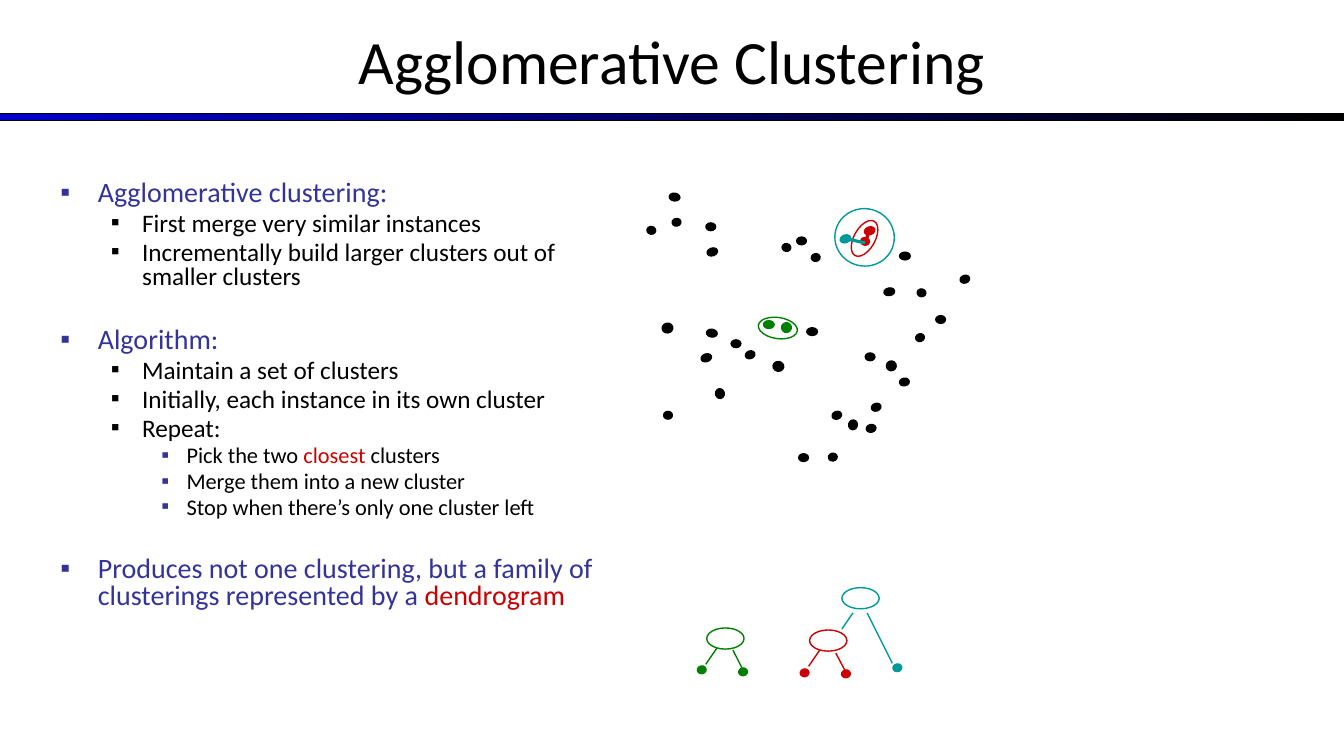
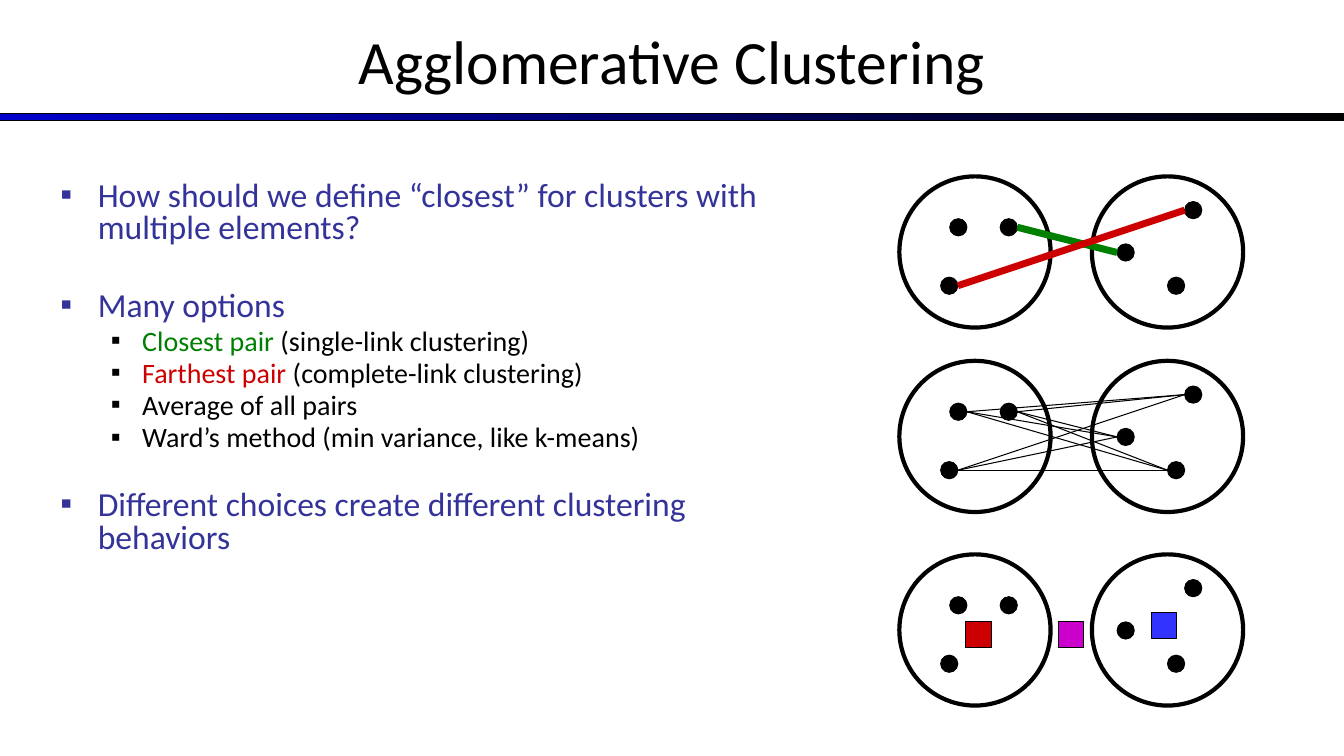
from dataclasses import dataclass
from itertools import product

from lxml.etree import SubElement
from pptx import Presentation
from pptx.dml.color import RGBColor
from pptx.enum.shapes import MSO_CONNECTOR as Connector, MSO_SHAPE as Preset
from pptx.enum.text import MSO_ANCHOR as Anchor, MSO_AUTO_SIZE as AutoSize, PP_ALIGN as Align
from pptx.oxml.ns import qn
from pptx.util import Emu, Pt


@dataclass(frozen=True)
class Theme:
    font: str = "Calibri"
    title_size: int = 44
    black: str = "000000"
    indigo: str = "333399"
    red: str = "CC0000"
    green: str = "008000"
    teal: str = "009999"
    blue: str = "3333FF"
    magenta: str = "CC00CC"
    band_start: str = "0000CC"
    line_spacing: float = 0.8
    space_before: float = 0.19
    hairline: float = 0.75
    outline: float = 1
    merge_link: float = 2.25
    circle_outline: float = 3
    pair_link: float = 5


THEME = Theme()
PX = 9144
PAGE_SIZE = (1333, 750)
TITLE_BOX = (0, -3, 1333, 125)
BAND_BOX = (0, 113, 1333, 7)
TITLE = "Agglomerative Clustering"

LEVELS = [
    {"margin": 37, "hang": 37, "text": THEME.indigo, "bullet": THEME.indigo},
    {"margin": 81, "hang": 31, "text": THEME.black, "bullet": THEME.black},
    {"margin": 125, "hang": 25, "text": THEME.black, "bullet": THEME.indigo},
]

ALGORITHM = {
    "box": (50, 175, 575, 495),
    "sizes": (20, 18, 16),
    "items": [
        (0, 0, ["Agglomerative clustering:"]),
        (1, 0, ["First merge very similar instances"]),
        (1, 0, ["Incrementally build larger clusters out of smaller clusters"]),
        (0, 27, ["Algorithm:"]),
        (1, 0, ["Maintain a set of clusters"]),
        (1, 0, ["Initially, each instance in its own cluster"]),
        (1, 0, ["Repeat:"]),
        (2, 0, ["Pick the two ", ("closest ", THEME.red), "clusters"]),
        (2, 0, ["Merge them into a new cluster"]),
        (2, 0, ["Stop when there’s only one cluster left"]),
        (0, 27, ["Produces not one clustering, but a family of clusterings represented by a ",
                 ("dendrogram", THEME.red)]),
    ],
}

LINKAGE = {
    "box": (50, 175, 775, 517),
    "sizes": (24, 20),
    "items": [
        (0, 0, ["How should we define “closest” for clusters with multiple elements?"]),
        (0, 33, ["Many options"]),
        (1, 0, [("Closest pair", THEME.green), " (single-link clustering)"]),
        (1, 0, [("Farthest pair", THEME.red), " (complete-link clustering)"]),
        (1, 0, ["Average of all pairs"]),
        (1, 0, ["Ward’s method (min variance, like k-means)"]),
        (0, 27, ["Different choices create different clustering behaviors"]),
    ],
}

LEAF_SIZE, LEAF_TILT = (8, 9), 79.6
NODE_SIZE = (37, 21)
TREES = [
    {"color": THEME.green, "leaves": [(733, 662), (692, 660)], "node": (701, 623),
     "edges": [(700, 659, 711, 643), (727, 645, 738, 667)]},
    {"color": THEME.red, "leaves": [(835, 664), (794, 663)], "node": (803, 625),
     "edges": [(802, 661, 813, 645), (829, 648, 838, 665)]},
    {"color": THEME.teal, "leaves": [(886, 658)], "node": (835, 583),
     "edges": [(835, 624, 846, 608), (860, 608, 885, 658)]},
]

INSTANCES = {
    0: [(725, 337, 10, 8), (928, 313, 10, 8), (792, 450, 10, 8), (800, 325, 11, 8),
        (790, 235, 10, 8), (700, 221, 10, 8), (658, 408, 9, 8), (858, 350, 10, 8),
        (892, 250, 11, 8)],
    341.4: [(952, 273, 10, 8), (825, 408, 10, 8), (864, 400, 10, 8), (695, 351, 11, 8),
            (701, 246, 11, 8), (739, 348, 10, 8), (908, 331, 9, 8)],
    98.3: [(642, 224, 8, 9), (767, 358, 10, 11), (702, 325, 8, 11), (776, 241, 8, 9),
           (879, 358, 10, 10), (910, 286, 8, 9), (665, 190, 8, 11), (841, 417, 10, 9)],
    79.6: [(822, 449, 8, 9), (657, 320, 10, 11), (709, 386, 10, 9), (667, 216, 8, 9),
           (893, 374, 8, 10), (878, 284, 8, 11), (805, 251, 8, 9), (860, 420, 8, 10)],
}

MERGES = [
    {"color": THEME.red, "dots": [((857, 225, 11, 8), 341.4), ((854, 235, 8, 9), 98.3)],
     "ring": ((838, 226, 39, 21), 299.1), "link": (858, 240, 861, 233)},
    {"color": THEME.green, "dots": [((757, 318, 11, 8), 0), ((775, 320, 10, 10), 79.6)],
     "ring": ((752, 315, 39, 21), 8.3), "link": (762, 323, 767, 324)},
    {"color": THEME.teal, "dots": [((833, 233, 11, 8), 341.4)],
     "ring": ((828, 207, 59, 57), 8.3), "link": (840, 237, 858, 241)},
]

PANEL_LEFT = 892
CIRCLE_OFFSETS, CIRCLE_SIZE = (0, 191), 150
DOT_SIZE, SQUARE_SIZE = 17, 25
LEFT_DOTS = [(50, 42), (41, 100), (100, 42)]
RIGHT_DOTS = [(216, 67), (266, 100), (283, 25)]
CLOSEST = (LEFT_DOTS[2], RIGHT_DOTS[0])
FARTHEST = (LEFT_DOTS[1], RIGHT_DOTS[2])
PANELS = [
    {"top": 175, "squares": [],
     "links": [(CLOSEST, THEME.green, THEME.pair_link),
               (FARTHEST, THEME.red, THEME.pair_link)]},
    {"top": 358, "squares": [],
     "links": [(pair, THEME.black, THEME.hairline) for pair in product(LEFT_DOTS, RIGHT_DOTS)]},
    {"top": 550, "links": [],
     "squares": [(66, 67, THEME.red), (250, 58, THEME.blue), (158, 67, THEME.magenta)]},
]


def emu(lengths):
    return [Emu(round(length * PX)) for length in lengths]


def rgb(color):
    return RGBColor.from_string(color)


def place(shape, box):
    shape.left, shape.top, shape.width, shape.height = emu(box)


def draw_shape(page, preset, box, line, width=THEME.hairline, fill=None, tilt=0):
    shape = page.shapes.add_shape(preset, *emu(box))
    shape.shadow.inherit = False
    shape.rotation = tilt
    shape.line.color.rgb = rgb(line)
    shape.line.width = Pt(width)
    if fill:
        shape.fill.solid()
        shape.fill.fore_color.rgb = rgb(fill)
    else:
        shape.fill.background()
    return shape


def draw_dot(page, box, color, tilt=0):
    draw_shape(page, Preset.OVAL, box, color, fill=color, tilt=tilt)


def draw_link(page, ends, color, width):
    link = page.shapes.add_connector(Connector.STRAIGHT, *emu(ends))
    link.line.color.rgb = rgb(color)
    link.line.width = Pt(width)
    SubElement(link.element.spPr, qn("a:effectLst"))


def style_span(span, size, color):
    span.font.name = THEME.font
    span.font.size = Pt(size)
    span.font.color.rgb = rgb(color)


def write_item(para, item, sizes):
    level, gap, spans = item
    style, size = LEVELS[level], sizes[level]
    para.level = level
    para.line_spacing = THEME.line_spacing
    para.space_before = Pt(gap or size * THEME.space_before)
    for entry in spans:
        text, color = (entry, style["text"]) if isinstance(entry, str) else entry
        span = para.add_run()
        span.text = text
        style_span(span, size, color)
    props = para._p.get_or_add_pPr()
    props.set("marL", str(style["margin"] * PX))
    props.set("indent", str(-style["hang"] * PX))
    SubElement(SubElement(props, qn("a:buClr")), qn("a:srgbClr")).set("val", style["bullet"])
    SubElement(props, qn("a:buChar")).set("char", "▪")


def add_page(deck, content):
    page = deck.slides.add_slide(deck.slide_layouts[1])
    title, body = page.placeholders
    place(title, TITLE_BOX)
    title.text_frame.text = TITLE
    title.text_frame.vertical_anchor = Anchor.MIDDLE
    title.text_frame.auto_size = AutoSize.NONE
    heading = title.text_frame.paragraphs[0]
    heading.alignment = Align.CENTER
    style_span(heading.runs[0], THEME.title_size, THEME.black)

    place(body, content["box"])
    frame = body.text_frame
    frame.auto_size = AutoSize.NONE
    for index, item in enumerate(content["items"]):
        para = frame.add_paragraph() if index else frame.paragraphs[0]
        write_item(para, item, content["sizes"])
    return page


def move_band_to_layout(page):
    band = draw_shape(page, Preset.RECTANGLE, BAND_BOX, THEME.black)
    band.fill.gradient()
    band.fill.gradient_angle = 0
    for stop, color in zip(band.fill.gradient_stops, (THEME.band_start, THEME.black)):
        stop.color.rgb = rgb(color)
    page.slide_layout.element.cSld.spTree.insert(2, band.element)


def draw_trees(page):
    for tree in TREES:
        color = tree["color"]
        for leaf in tree["leaves"]:
            draw_dot(page, leaf + LEAF_SIZE, color, LEAF_TILT)
        draw_shape(page, Preset.OVAL, tree["node"] + NODE_SIZE, color, THEME.outline)
        for edge in tree["edges"]:
            draw_link(page, edge, color, THEME.outline)


def draw_instances(page):
    for tilt, boxes in INSTANCES.items():
        for box in boxes:
            draw_dot(page, box, THEME.black, tilt)
    for merge in MERGES:
        color = merge["color"]
        for box, tilt in merge["dots"]:
            draw_dot(page, box, color, tilt)
        ring, tilt = merge["ring"]
        draw_shape(page, Preset.OVAL, ring, color, THEME.outline, tilt=tilt)
        draw_link(page, merge["link"], color, THEME.merge_link)


def draw_panel(page, panel):
    top = panel["top"]
    for offset in CIRCLE_OFFSETS:
        box = (PANEL_LEFT + offset, top, CIRCLE_SIZE, CIRCLE_SIZE)
        draw_shape(page, Preset.OVAL, box, THEME.black, THEME.circle_outline)
    for x, y in LEFT_DOTS + RIGHT_DOTS:
        draw_dot(page, (PANEL_LEFT + x, top + y, DOT_SIZE, DOT_SIZE), THEME.black)
    for ((x1, y1), (x2, y2)), color, width in panel["links"]:
        middle = top + DOT_SIZE / 2
        ends = (PANEL_LEFT + x1 + DOT_SIZE, middle + y1, PANEL_LEFT + x2, middle + y2)
        draw_link(page, ends, color, width)
    for x, y, color in panel["squares"]:
        box = (PANEL_LEFT + x, top + y, SQUARE_SIZE, SQUARE_SIZE)
        draw_shape(page, Preset.RECTANGLE, box, THEME.black, fill=color)


def main():
    deck = Presentation()
    deck.slide_width, deck.slide_height = emu(PAGE_SIZE)

    algorithm_page = add_page(deck, ALGORITHM)
    move_band_to_layout(algorithm_page)
    draw_trees(algorithm_page)
    draw_instances(algorithm_page)

    linkage_page = add_page(deck, LINKAGE)
    for panel in PANELS:
        draw_panel(linkage_page, panel)

    deck.save("out.pptx")


if __name__ == "__main__":
    main()
